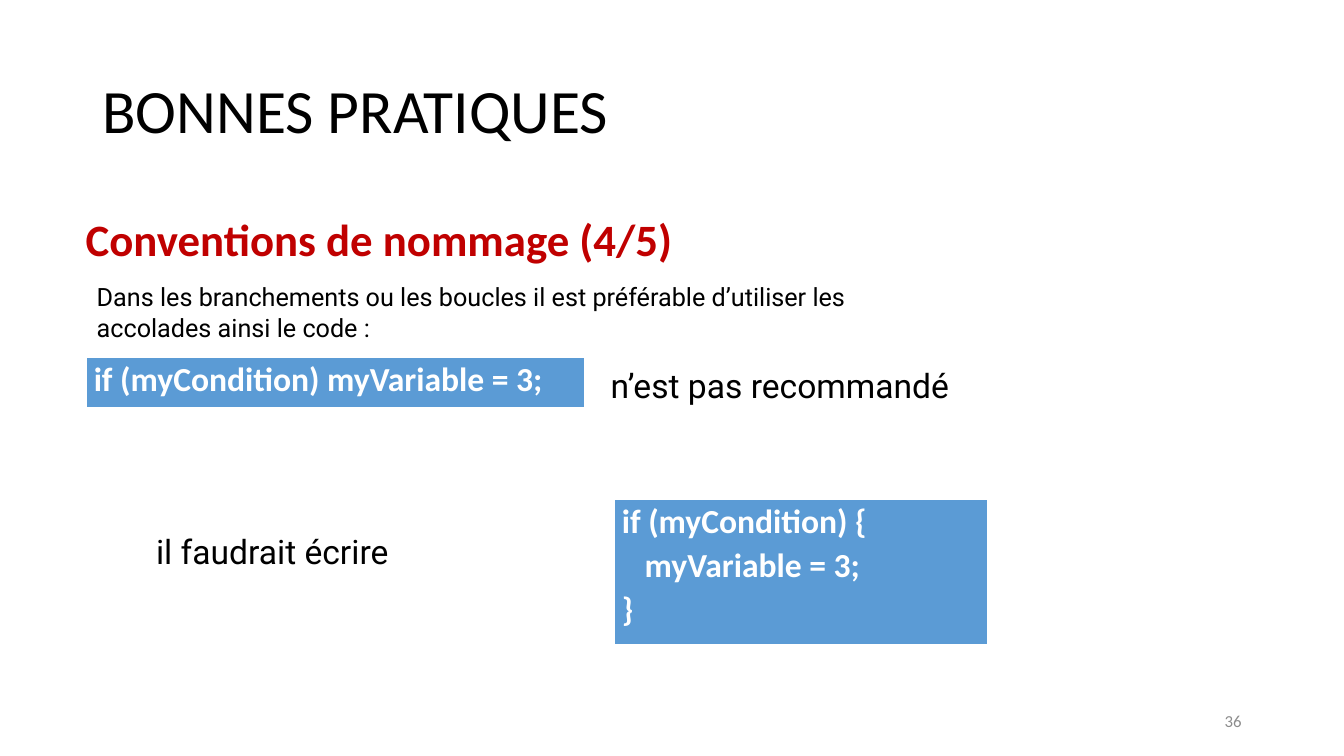
from dataclasses import dataclass

from lxml import etree
from pptx import Presentation
from pptx import util as u
from pptx.dml.color import RGBColor
from pptx.enum import text
from pptx.oxml import ns

COLORS = {
    "black": "000000",
    "white": "FFFFFF",
    "heading": "C00000",
    "code": "5B9BD5",
    "number": "8C8C8C",
}
LEFT, RIGHT = text.PP_ALIGN.LEFT, text.PP_ALIGN.RIGHT
TOP, MIDDLE = text.MSO_ANCHOR.TOP, text.MSO_ANCHOR.MIDDLE
BORDERS = {"lnL": 1, "lnR": 1, "lnT": 1, "lnB": 3}


@dataclass(frozen=True)
class Area:
    left: float
    top: float
    width: float
    height: float

    def lengths(self) -> list:
        return [u.Pt(value) for value in (self.left, self.top, self.width, self.height)]


@dataclass(frozen=True)
class Style:
    size: float
    font: str = "Calibri"
    color: str = "black"
    bold: bool = False
    align: int = LEFT
    spacing: float = 1.0
    before: float = 0


@dataclass(frozen=True)
class Label:
    words: str
    area: Area
    style: Style
    anchor: int = TOP
    wrap: bool = True


@dataclass(frozen=True)
class Code:
    lines: tuple
    area: Area


TITLE = Label("BONNES PRATIQUES", Area(66, 28.8, 828, 104.4),
              Style(44, spacing=0.9), MIDDLE)
HEADING = Label("Conventions de nommage (4/5)", Area(54, 152, 444, 75),
                Style(32, color="heading", bold=True, spacing=0.9, before=10))
REMARK = Style(24, font="Roboto")
CODE = Style(24, color="white", bold=True, spacing=1.07)

LABELS = [
    Label("36", Area(678, 500.4, 216, 28.8),
          Style(12, color="number", align=RIGHT), MIDDLE),
    Label("Dans les branchements ou les boucles il est préférable d’utiliser les "
          "accolades ainsi le code :",
          Area(62, 197.3, 584.6, 51), Style(18, font="Roboto"), MIDDLE),
    Label("n’est pas recommandé", Area(429, 257, 260.6, 36), REMARK, wrap=False),
    Label("il faudrait écrire", Area(104.4, 375.8, 273, 36), REMARK),
]
CODES = [
    Code((("if (myCondition) myVariable = 3;", 0),), Area(62, 255, 355.7, 36.7)),
    Code((("if (myCondition) {", 0), ("myVariable = 3;", 16.3), ("}", 0)),
         Area(439.2, 356.4, 266.4, 105.1)),
]


def apply(target, values: dict) -> None:
    for name, value in values.items():
        setattr(target, name, value)


def write(para, words: str, style: Style) -> None:
    apply(para, {"alignment": style.align, "line_spacing": style.spacing,
                 "space_before": u.Pt(style.before)})
    span = para.add_run()
    span.text = words
    apply(span.font, {"name": style.font, "size": u.Pt(style.size), "bold": style.bold})
    span.font.color.rgb = RGBColor.from_string(COLORS[style.color])


def indent(para, margin: float) -> None:
    properties = para._p.get_or_add_pPr()
    properties.set("marL", str(int(u.Pt(margin))))
    properties.set("indent", "0")


def fill_box(box, label: Label) -> None:
    apply(box, dict(zip(("left", "top", "width", "height"), label.area.lengths())))
    apply(box.text_frame, {"word_wrap": label.wrap, "vertical_anchor": label.anchor,
                           "auto_size": text.MSO_AUTO_SIZE.NONE})
    write(box.text_frame.paragraphs[0], label.words, label.style)


def add_border(cell, side: str, width: float) -> None:
    line = etree.SubElement(cell._tc.get_or_add_tcPr(), ns.qn(f"a:{side}"),
                            w=str(int(u.Pt(width))))
    solid = etree.SubElement(line, ns.qn("a:solidFill"))
    etree.SubElement(solid, ns.qn("a:srgbClr"), val=COLORS["white"])


def add_code(page, code: Code) -> None:
    table = page.shapes.add_table(1, 1, *code.area.lengths()).table
    cell = table.cell(0, 0)
    apply(cell, {"margin_left": u.Pt(5), "margin_right": u.Pt(5),
                 "margin_top": u.Pt(0), "margin_bottom": u.Pt(0)})
    for side, width in BORDERS.items():
        add_border(cell, side, width)
    cell.fill.solid()
    cell.fill.fore_color.rgb = RGBColor.from_string(COLORS["code"])
    frame = cell.text_frame
    for position, (words, margin) in enumerate(code.lines):
        para = frame.add_paragraph() if position else frame.paragraphs[0]
        write(para, words, CODE)
        indent(para, margin)


def main() -> None:
    deck = Presentation()
    apply(deck, {"slide_width": u.Pt(960), "slide_height": u.Pt(540)})
    page = deck.slides.add_slide(deck.slide_layouts[1])
    fill_box(page.shapes.title, TITLE)
    body = page.placeholders[1]
    fill_box(body, HEADING)
    heading = body.text_frame.paragraphs[0]
    indent(heading, 0)
    etree.SubElement(heading._p.get_or_add_pPr(), ns.qn("a:buNone"))
    for code in CODES:
        add_code(page, code)
    for label in LABELS:
        fill_box(page.shapes.add_textbox(*label.area.lengths()), label)
    deck.save("out.pptx")


if __name__ == "__main__":
    main()
